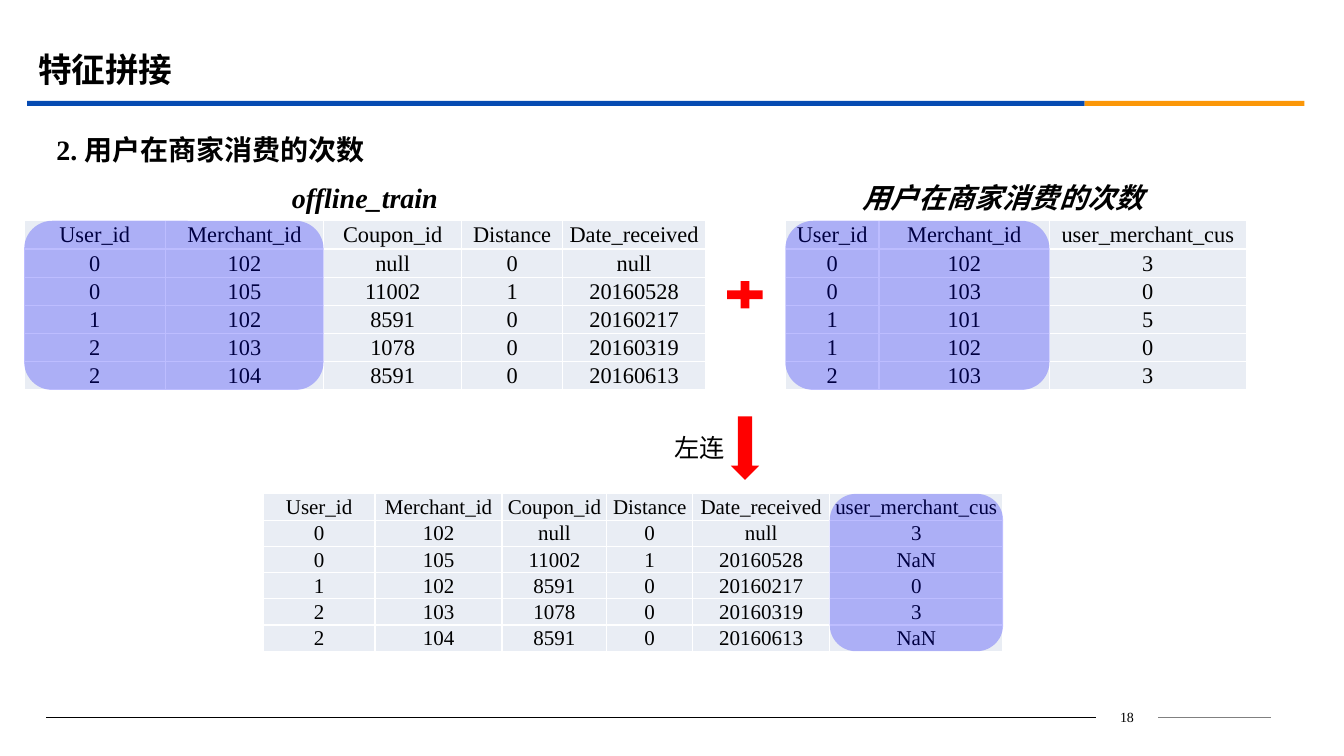
from dataclasses import dataclass

from pptx import Presentation
from pptx import util as u
from pptx.dml.color import RGBColor
from pptx.enum import shapes, text
from pptx.oxml import parse_xml
from pptx.oxml.ns import nsdecls, qn
from lxml import etree

WIDTH, HEIGHT = u.Inches(13.33), u.Inches(7.5)
COLUMN, ROW = WIDTH / 100, HEIGHT / 100


@dataclass(frozen=True)
class Theme:
    """Colours, font and type sizes of the slide."""
    font: str = "Times New Roman"
    ink: str = "000000"
    grey: str = "808080"
    blue: str = "064BB2"
    orange: str = "FB9708"
    red: str = "FF0000"
    highlight: str = "0000FF"
    cell: str = "E9EDF4"
    border: str = "FFFFFF"
    title: int = 24
    heading: int = 20
    label: int = 18
    table: int = 16
    joined_table: int = 15
    page: int = 10


THEME = Theme()

TRAIN_ROWS = [
    ("User_id", "Merchant_id", "Coupon_id", "Distance", "Date_received"),
    ("0", "102", "null", "0", "null"),
    ("0", "105", "11002", "1", "20160528"),
    ("1", "102", "8591", "0", "20160217"),
    ("2", "103", "1078", "0", "20160319"),
    ("2", "104", "8591", "0", "20160613"),
]
COUNT_ROWS = [
    ("User_id", "Merchant_id", "user_merchant_cus"),
    ("0", "102", "3"),
    ("0", "103", "0"),
    ("1", "101", "5"),
    ("1", "102", "0"),
    ("2", "103", "3"),
]
JOINED_COLUMN = ("user_merchant_cus", "3", "NaN", "0", "3", "NaN")


def place(left, top, width, height):
    """Turn grid columns and rows into slide lengths."""
    return [int(n) for n in (left * COLUMN, top * ROW, width * COLUMN, height * ROW)]


def set_values(target, values):
    """Set each named attribute on the target."""
    for name, value in values.items():
        setattr(target, name, value)


def write(frame, words, size, align=text.PP_ALIGN.CENTER, **style):
    """Write one styled paragraph into a text frame."""
    paragraph = frame.paragraphs[0]
    paragraph.alignment = align
    run = paragraph.add_run()
    run.text = words
    set_values(run.font, {"name": THEME.font, "size": u.Pt(size), **style})
    run.font.color.rgb = RGBColor.from_string(THEME.ink)


def add_text(slide, box, words, size, wrap=True, anchor=text.MSO_ANCHOR.MIDDLE, **style):
    """Add a text box holding one paragraph."""
    frame = slide.shapes.add_textbox(*place(*box)).text_frame
    set_values(frame, {"word_wrap": wrap, "vertical_anchor": anchor})
    write(frame, words, size, **style)


def add_shape(slide, kind, bounds, color):
    """Add a flat preset shape without outline."""
    shape = slide.shapes.add_shape(kind, *bounds)
    shape.shadow.inherit = False
    shape.fill.solid()
    shape.fill.fore_color.rgb = RGBColor.from_string(color)
    shape.line.fill.background()
    return shape


def add_rule(slide, start, end, top, color):
    """Add a thin horizontal line."""
    left, y, right, _ = place(start, top, end, 0)
    line = slide.shapes.add_connector(shapes.MSO_CONNECTOR.STRAIGHT, left, y, right, y)
    line.line.width = u.Pt(0.75)
    line.line.color.rgb = RGBColor.from_string(color)
    etree.SubElement(line._element.spPr, qn("a:effectLst"))


def style_cell(cell, words, size):
    """Give a cell its borders, fill and text."""
    set_values(cell, {
        "margin_left": u.Inches(0.01), "margin_right": u.Inches(0.01),
        "margin_top": u.Inches(0.01), "margin_bottom": 0,
        "vertical_anchor": text.MSO_ANCHOR.MIDDLE,
    })
    properties = cell._tc.get_or_add_tcPr()
    for side in "LRTB":
        properties.append(parse_xml(
            f'<a:ln{side} {nsdecls("a")} w="12700"><a:solidFill>'
            f'<a:srgbClr val="{THEME.border}"/></a:solidFill></a:ln{side}>'))
    cell.fill.solid()
    cell.fill.fore_color.rgb = RGBColor.from_string(THEME.cell)
    write(cell.text_frame, words, size)


def add_data_table(slide, left, top, widths, row_height, rows, size):
    """Add a plain table and return its frame."""
    bounds = place(left, top, sum(widths), row_height * len(rows))
    frame = slide.shapes.add_table(len(rows), len(widths), *bounds)
    table = frame.table
    set_values(table, {"first_row": False, "horz_banding": False})
    for column, width in zip(table.columns, widths):
        column.width = int(width * COLUMN)
    for row, values in zip(table.rows, rows):
        row.height = int(row_height * ROW)
        for cell, words in zip(row.cells, values):
            style_cell(cell, words, size)
    return frame


def highlight_columns(slide, frame, first, count):
    """Lay a translucent rounded box over neighbouring table columns."""
    widths = [column.width for column in frame.table.columns]
    bounds = (frame.left + sum(widths[:first]), frame.top,
              sum(widths[first:first + count]), frame.height)
    shape = add_shape(slide, shapes.MSO_SHAPE.ROUNDED_RECTANGLE, bounds, THEME.highlight)
    color = shape._element.spPr.find(".//" + qn("a:srgbClr"))
    etree.SubElement(color, qn("a:alpha"), val="26000")


def add_page_frame(slide):
    """Add the title bar, footer lines and page number."""
    bar = shapes.MSO_SHAPE.RECTANGLE
    add_shape(slide, bar, place(2.03, 13.33, 78.67, 0.7), THEME.blue)
    add_shape(slide, bar, place(80.7, 13.33, 16.35, 0.7), THEME.orange)
    add_rule(slide, 3.45, 81.53, 94.93, THEME.ink)
    add_rule(slide, 86.18, 94.58, 94.93, THEME.grey)
    add_text(slide, (81.53, 93.2, 4.65, 3.33), "18", THEME.page)


def main():
    """Build the slide and save it."""
    presentation = Presentation()
    set_values(presentation, {"slide_width": WIDTH, "slide_height": HEIGHT})
    slide = presentation.slides.add_slide(presentation.slide_layouts[6])
    add_page_frame(slide)
    left = text.PP_ALIGN.LEFT
    add_text(slide, (2.1, 5.2, 90, 7.73), "特征拼接", THEME.title, align=left, bold=True)
    add_text(slide, (3.45, 16.67, 91.13, 6.27), "2. 用户在商家消费的次数",
             THEME.heading, align=left, bold=True)

    counts = add_data_table(slide, 58.43, 29.2, (6.98, 12.68, 14.63), 3.73,
                            COUNT_ROWS, THEME.table)
    train = add_data_table(slide, 1.8, 29.2, (10.5, 11.78, 10.28, 7.5, 10.65), 3.73,
                           TRAIN_ROWS, THEME.table)
    joined_rows = [(*row, count) for row, count in zip(TRAIN_ROWS, JOINED_COLUMN)]
    joined = add_data_table(slide, 19.58, 65.33, (8.33, 9.45, 7.8, 6.38, 10.2, 12.9), 3.47,
                            joined_rows, THEME.joined_table)

    add_shape(slide, shapes.MSO_SHAPE.MATH_PLUS, place(53.63, 36.53, 3.6, 4.93), THEME.red)
    add_shape(slide, shapes.MSO_SHAPE.DOWN_ARROW, place(54.38, 55.07, 2.1, 8.4), THEME.red)
    for frame, first, count in ((counts, 0, 2), (train, 0, 2), (joined, 5, 1)):
        highlight_columns(slide, frame, first, count)

    add_text(slide, (48.68, 56, 6.75, 6.27), "左连", THEME.label)
    for start, width, caption in ((20.93, 12.45, "offline_train"),
                                  (63.3, 22.65, "用户在商家消费的次数")):
        add_text(slide, (start, 23.2, width, 5.87), caption, THEME.heading, wrap=False,
                 anchor=text.MSO_ANCHOR.TOP, bold=True, italic=True)
    presentation.save("out.pptx")


if __name__ == "__main__":
    main()
